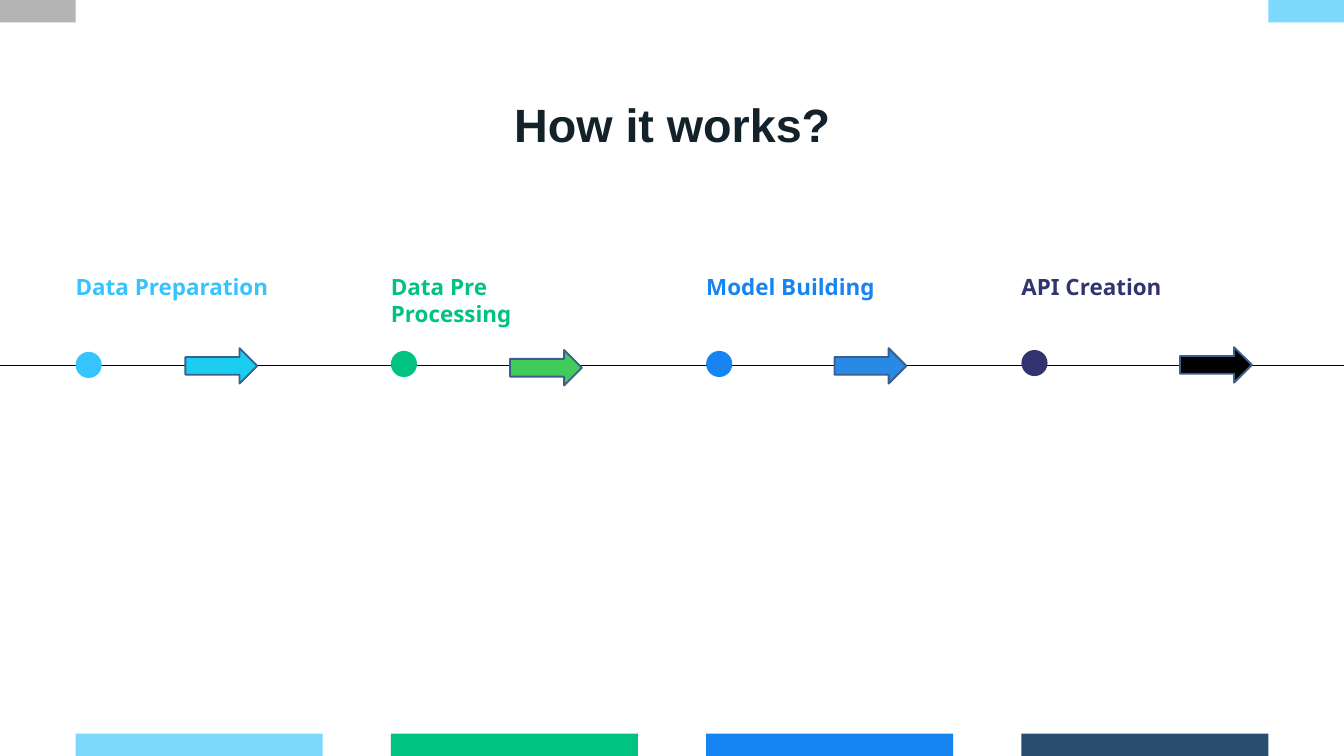
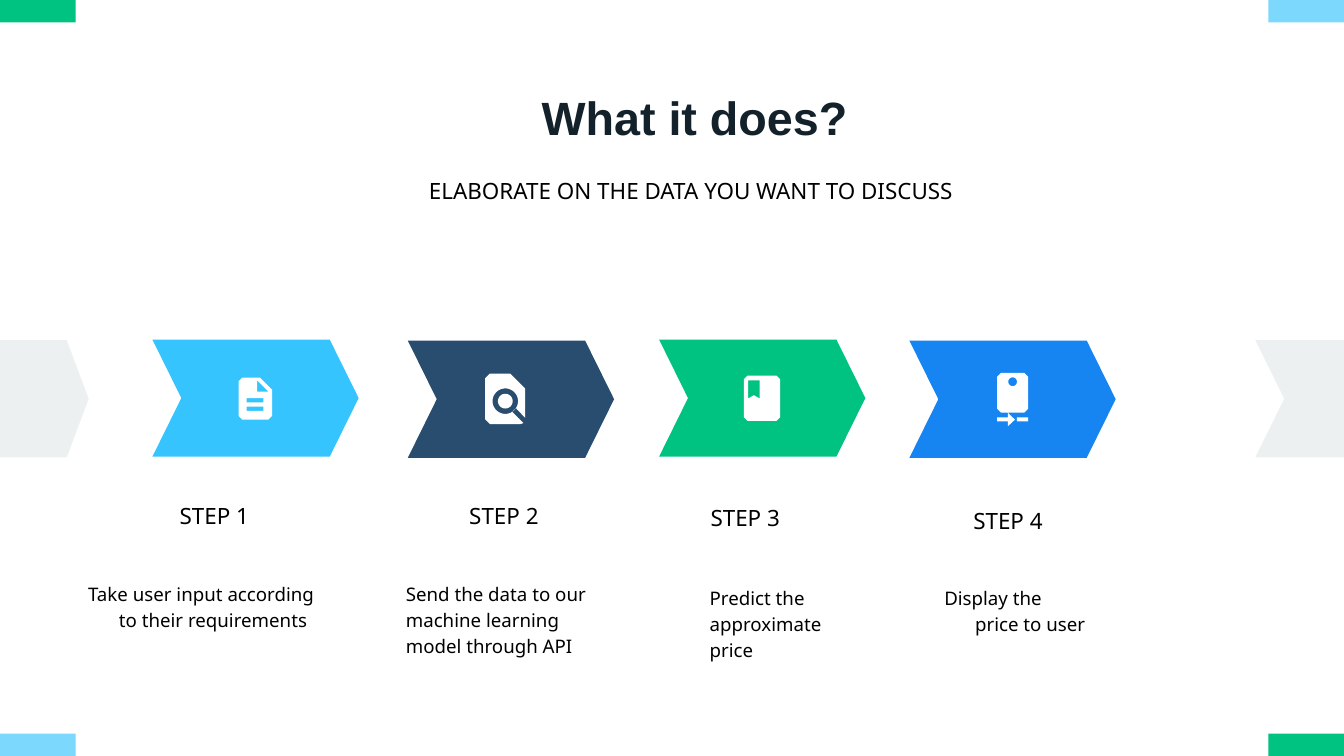
from dataclasses import dataclass
from math import cos, pi, sin

from lxml import etree
from pptx import Presentation
from pptx.dml.color import RGBColor
from pptx.enum.shapes import MSO_CONNECTOR, MSO_SHAPE
from pptx.enum.text import MSO_ANCHOR, MSO_AUTO_SIZE, PP_ALIGN
from pptx.oxml.ns import qn
from pptx.util import Pt

RECT = MSO_SHAPE.RECTANGLE
OVAL = MSO_SHAPE.OVAL
ARROW = MSO_SHAPE.RIGHT_ARROW
CHEVRON = MSO_SHAPE.CHEVRON
PENTAGON = MSO_SHAPE.PENTAGON
STRAIGHT = MSO_CONNECTOR.STRAIGHT
TOP = MSO_ANCHOR.TOP
FIT = MSO_AUTO_SIZE.SHAPE_TO_FIT_TEXT
LEFT = PP_ALIGN.LEFT
CENTER = PP_ALIGN.CENTER


@dataclass(frozen=True)
class Theme:
    ink: str = "12212A"
    black: str = "000000"
    white: str = "FFFFFF"
    pale: str = "7DD8FD"
    sky: str = "36C4FF"
    green: str = "00C281"
    blue: str = "1785F1"
    navy: str = "294D6F"
    indigo: str = "31346E"
    gray: str = "B4B4B4"
    mist: str = "ECF0F0"
    edge: str = "3A5F8C"
    cyan: str = "1BCDF1"
    leaf: str = "41CB5B"
    azure: str = "288AE4"
    head_font: str = "Arial"
    body_font: str = "Noto Sans"
    head_size: int = 50
    label_size: int = 24
    note_size: int = 20


THEME = Theme()
WIDTH, HEIGHT = 1440, 810
TAB_W, TAB_H = 81, 24
FIRST, PITCH = 81, 337.8
CHEV_W, CHEV_H, NOTCH = 221, 125.5, 31


def color(code):
    return RGBColor.from_string(code)


def paint(shape, fill, edge=None):
    shape.shadow.inherit = False
    shape.fill.solid()
    shape.fill.fore_color.rgb = color(fill)
    if edge:
        shape.line.color.rgb = color(edge)
        shape.line.width = Pt(2)
    else:
        shape.line.fill.background()


def add_form(slide, kind, box, fill, edge=None):
    shape = slide.shapes.add_shape(kind, *map(Pt, box))
    paint(shape, fill, edge)
    return shape


def add_outline(slide, left, top, rings, fill):
    build = None
    for ring in rings:
        start, *rest = [(Pt(x), Pt(y)) for x, y in ring]
        if build is None:
            build = slide.shapes.build_freeform(*start)
        else:
            build.move_to(*start)
        build.add_line_segments(rest, close=True)
    paint(build.convert_to_shape(Pt(left), Pt(top)), fill)


def write(shape, text, font, size, tint, bold=False, align=LEFT,
          margin=1, indent=0, leading=None):
    frame = shape.text_frame
    frame.text = text
    frame.word_wrap = True
    frame.auto_size = FIT
    frame.vertical_anchor = TOP
    frame.margin_left = frame.margin_right = frame.margin_bottom = 0
    frame.margin_top = Pt(1)
    para = frame.paragraphs[0]
    para.alignment = align
    para.space_before = Pt(1)
    if leading:
        para.line_spacing = leading
    props = para._p.get_or_add_pPr()
    props.set("marL", str(Pt(margin)))
    props.set("indent", str(Pt(indent)))
    for run in para.runs:
        run.font.name = font
        run.font.size = Pt(size)
        run.font.bold = bold
        run.font.color.rgb = color(tint)


def add_text(slide, box, text, size, tint=THEME.black, **style):
    shape = slide.shapes.add_textbox(*map(Pt, box))
    write(shape, text, THEME.body_font, size, tint, **style)


def add_slide(deck, title, box):
    slide = deck.slides.add_slide(deck.slide_layouts[5])
    head = slide.shapes.title
    head.left, head.top, head.width, head.height = map(Pt, box)
    write(head, title, THEME.head_font, THEME.head_size, THEME.ink,
          bold=True, align=CENTER)
    return slide


def add_tabs(slide, upper, lower=()):
    for top, fills in ((0, upper), (HEIGHT - TAB_H, lower)):
        for left, fill in zip((0, WIDTH - TAB_W), fills):
            add_form(slide, RECT, (left, top, TAB_W, TAB_H), fill)


def add_line(slide, y):
    line = slide.shapes.add_connector(STRAIGHT, 0, Pt(y), Pt(WIDTH), Pt(y))
    line.line.color.rgb = color(THEME.black)
    line.line.width = Pt(0.9)
    etree.SubElement(line._element.spPr, qn("a:effectLst"))


def add_chevron(slide, kind, left, top, width, fill):
    shape = add_form(slide, kind, (left, top, width, CHEV_H), fill)
    shape.adjustments[0] = NOTCH / CHEV_H


def block(x, y, w, h):
    return [(x, y), (x + w, y), (x + w, y + h), (x, y + h)]


def sheet(w, h, cut=4):
    return [(4, 0), (w - cut, 0), (w, cut), (w, h - 4),
            (w - 4, h), (4, h), (0, h - 4), (0, 4)]


def disc(x, y, r):
    turns = [2 * pi * n / 32 for n in range(32)]
    return [(x + r * cos(t), y + r * sin(t)) for t in turns]


def page_icon():
    fold = [(20, 3), (32, 15), (20, 15)]
    return [sheet(36, 45, 13), fold,
            block(8.6, 22, 18, 4.6), block(8.6, 31, 18, 4.6)]


def search_icon():
    page = [(5, 0), (27, 0), (43, 16), (43, 47.5), (33, 37), (29, 41),
            (41, 53), (38, 54), (5, 54), (0, 49), (0, 5)]
    return [page, disc(21.6, 29.5, 13.7), disc(21.6, 29.5, 7.9)]


def book_icon():
    mark = [(4.5, 5), (17, 5), (17, 24.5), (10.8, 21), (4.5, 24.5)]
    return [sheet(39, 48.5), mark]


def phone_icon():
    arrow = [(0, 47.5), (11.5, 47.5), (11.5, 42.8), (19, 50),
             (11.5, 57), (11.5, 52), (0, 52)]
    return [sheet(33, 42.5), disc(16.5, 9.4, 4.7), arrow,
            block(21, 47.5, 12, 4.5)]


def add_stages(deck):
    slide = add_slide(deck, "How it works?", (468, 101.5, 504, 62))
    add_tabs(slide, (THEME.gray, THEME.pale))
    add_line(slide, 391.3)
    stages = [
        ("Data Preparation", THEME.sky, THEME.pale, 377,
         THEME.cyan, 198.7, 373),
        ("Data Pre Processing", THEME.green, THEME.green, 376,
         THEME.leaf, 546.5, 375),
        ("Model Building", THEME.blue, THEME.blue, 376,
         THEME.azure, 894.2, 373),
        ("API Creation", THEME.indigo, THEME.navy, 375,
         THEME.black, 1264.3, 372),
    ]
    for n, (name, tint, bar, dot, fill, x, y) in enumerate(stages):
        left = FIRST + n * PITCH
        tall = 59 if n == 1 else 31
        add_form(slide, RECT, (left, HEIGHT - TAB_H, 264.6, TAB_H), bar)
        add_text(slide, (left - 1, 291.6, 234, tall), name,
                 THEME.label_size, tint, bold=True)
        add_form(slide, OVAL, (left, dot, 28, 28), tint)
        add_form(slide, ARROW, (x, y, 77, 38), fill, THEME.edge)


def add_steps(deck):
    slide = add_slide(deck, "What it does?", (440, 94.3, 607.7, 62))
    add_tabs(slide, (THEME.green, THEME.pale), (THEME.pale, THEME.green))
    add_text(slide, (458.6, 188.6, 570, 31),
             "ELABORATE ON THE DATA YOU WANT TO DISCUSS", THEME.label_size)
    add_chevron(slide, PENTAGON, 0, 364.5, 95, THEME.mist)
    tail = [(0, 0), (95, 0), (95, CHEV_H), (0, CHEV_H), (NOTCH, CHEV_H / 2)]
    add_outline(slide, 1345, 364.5, [tail], THEME.mist)
    steps = [
        (THEME.sky, 163.3, 363.8, page_icon(), 255.6, 404.6),
        (THEME.navy, 437, 365, search_icon(), 519.8, 400.3),
        (THEME.green, 706.2, 363.8, book_icon(), 797, 402.5),
        (THEME.blue, 974.4, 365, phone_icon(), 1068.5, 399.6),
    ]
    for fill, left, top, icon, x, y in steps:
        add_chevron(slide, CHEVRON, left, top, CHEV_W, fill)
        add_outline(slide, x, y, icon, THEME.white)
    labels = [(191.5, 537, 100), (501.8, 537, 103),
              (760.3, 539.3, 111.6), (1041.8, 542, 95)]
    for n, (left, top, width) in enumerate(labels, 1):
        add_text(slide, (left, top, width, 30), f"STEP {n}",
                 THEME.label_size)
    notes = [
        ("Take user input according to their requirements",
         (92.9, 620, 264, 57), -33),
        ("Send the data to our machine learning model through API",
         (400.3, 620, 229.7, 86), 0),
        ("Predict the approximate price", (725.8, 623.5, 200.9, 86), 0),
        ("Display the price to user", (1010.2, 623.5, 157.7, 57), -33),
    ]
    for text, box, indent in notes:
        add_text(slide, box, text, THEME.note_size, margin=34.5,
                 indent=indent, leading=1.16)


def main():
    deck = Presentation()
    deck.slide_width, deck.slide_height = Pt(WIDTH), Pt(HEIGHT)
    add_stages(deck)
    add_steps(deck)
    deck.save("out.pptx")


if __name__ == "__main__":
    main()
